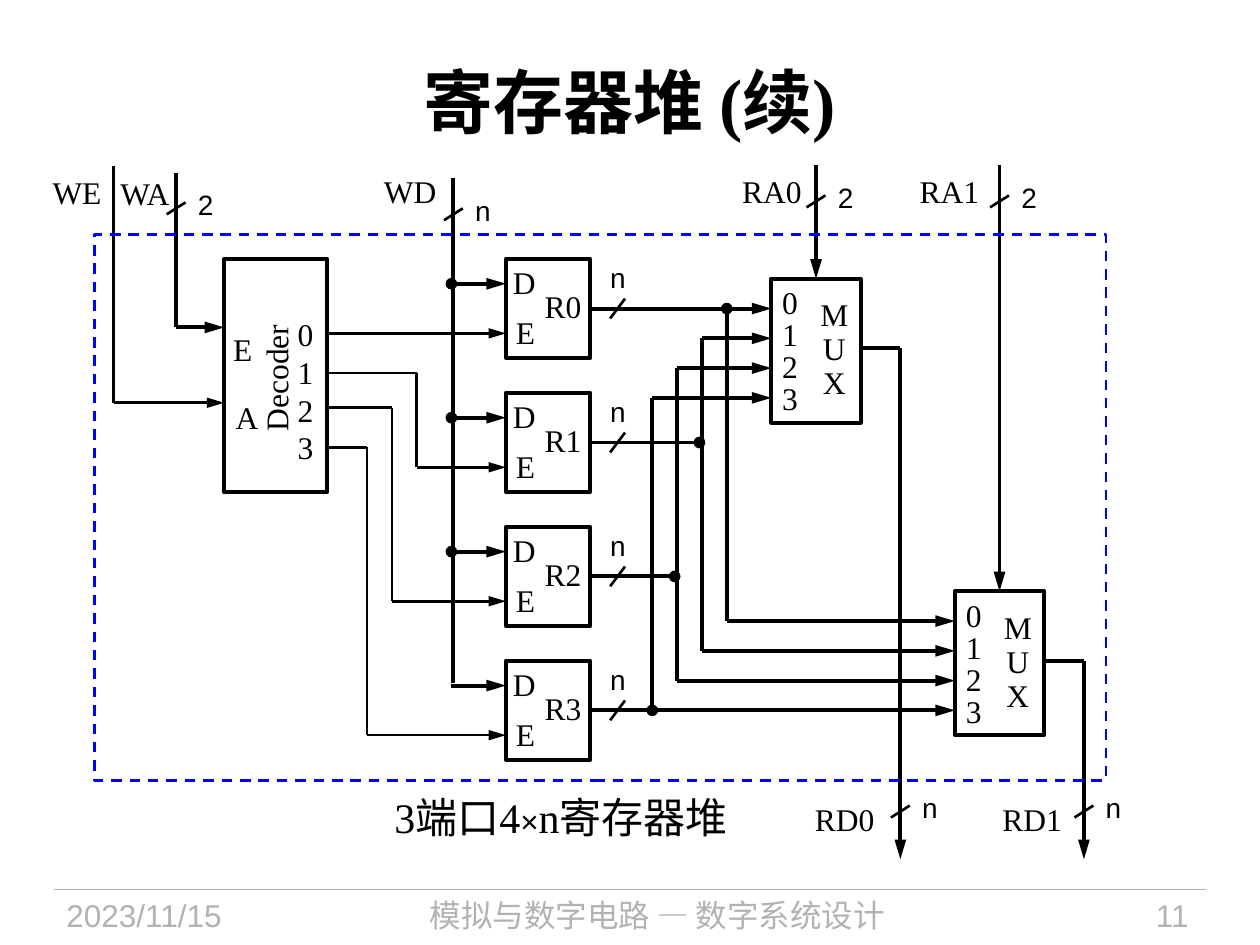
from itertools import pairwise

from lxml.etree import SubElement
from pptx import Presentation
from pptx.dml.color import RGBColor
from pptx.enum.dml import MSO_LINE
from pptx.enum.shapes import MSO_CONNECTOR, MSO_SHAPE
from pptx.enum.text import MSO_ANCHOR, PP_ALIGN
from pptx.oxml.ns import qn
from pptx.util import Cm, Pt

COLORS = {"ink": "000000", "frame": "0000FF", "footer": "B2B2B2"}
SERIF, SANS, CHINESE = "Times New Roman", "Arial", "Noto Sans CJK SC"
THICK, THIN = 2.25, 1.5
TIGHT = (0, 0, 0, 0)
NORMAL = (0.25, 0.13, 0.25, 0.13)

BLOCK_TOP = 5.22
REGISTER_LEFT, REGISTER_WIDTH, REGISTER_PITCH = 10.2, 1.7, 2.7
DECODER_LEFT, DECODER_WIDTH = 4.52, 2.08
MUX_WIDTH, MUX_HEIGHT, INPUT_PITCH = 1.8, 2.9, 0.6
MUXES = [(15.55, 5.62), (19.25, 11.92)]
DATA_X = 9.14


def color(name):
    """Return the named colour."""
    return RGBColor.from_string(COLORS[name])


def write(shape, lines, size=18, font=SERIF, ink="ink", align=PP_ALIGN.LEFT,
          anchor=MSO_ANCHOR.MIDDLE, insets=TIGHT, spacing=None, wrap=False):
    """Fill a shape with one paragraph per line."""
    frame = shape.text_frame
    frame.word_wrap = wrap
    frame.vertical_anchor = anchor
    frame.margin_left, frame.margin_top, frame.margin_right, frame.margin_bottom = map(Cm, insets)
    frame.text = "\n".join(lines)
    for para in frame.paragraphs:
        para.alignment = align
        para.line_spacing = spacing
        para.font.size = Pt(size)
        para.font.name = font
        para.font.color.rgb = color(ink)


def add_text(page, left, top, width, height, lines, **style):
    """Add a text box."""
    box = page.shapes.add_textbox(Cm(left), Cm(top), Cm(width), Cm(height))
    write(box, lines, **style)
    return box


def add_block(page, left, top, width, height, ink="ink", weight=THICK):
    """Add an unfilled outlined rectangle."""
    block = page.shapes.add_shape(MSO_SHAPE.RECTANGLE, Cm(left), Cm(top), Cm(width), Cm(height))
    block.shadow.inherit = False
    block.fill.background()
    block.line.color.rgb = color(ink)
    block.line.width = Pt(weight)
    return block


def add_end(line, side, kind):
    """Put an arrowhead or a dot on one end of a line."""
    length = "lg" if kind == "triangle" else "med"
    SubElement(line.line._get_or_add_ln(), qn(f"a:{side}"), type=kind, w="med", len=length)


def add_wire(page, *points, weight=THICK, head=None, tail=None, ink="ink"):
    """Join the points with straight lines, with optional end marks."""
    lines = []
    for start, end in pairwise(points):
        line = page.shapes.add_connector(MSO_CONNECTOR.STRAIGHT, *map(Cm, start + end))
        line.line.color.rgb = color(ink)
        line.line.width = Pt(weight)
        SubElement(line._element.spPr, qn("a:effectLst"))
        lines.append(line)
    if head:
        add_end(lines[0], "headEnd", head)
    if tail:
        add_end(lines[-1], "tailEnd", tail)


def add_bus_width(page, x, y, label):
    """Mark a vertical bus with a slash and its width."""
    add_wire(page, (x + 0.19, y - 0.12), (x - 0.19, y + 0.12), weight=THIN)
    add_text(page, x + 0.44, y - 0.34, 0.3, 0.61, [label], size=16, font=SANS,
             anchor=MSO_ANCHOR.TOP, spacing=0.9)


def add_decoder(page):
    """Add the write decoder with its two input wires."""
    decoder = add_block(page, DECODER_LEFT, BLOCK_TOP, DECODER_WIDTH, 4.7)
    write(decoder, ["Decoder"], align=PP_ALIGN.CENTER, insets=(0, 0.1, 0, 0))
    decoder.text_frame._txBody.bodyPr.set("vert", "vert270")
    add_text(page, 6, 6.35, 0.3, 3.05, list("0123"))
    add_text(page, 4.7, 6.76, 0.38, 0.66, ["E"], spacing=0.85)
    add_text(page, 4.5, 7.9, 0.96, 1.02, ["A"], insets=NORMAL)
    add_wire(page, (3.55, 3.48), (3.55, 6.6), (DECODER_LEFT, 6.6), tail="triangle")
    add_wire(page, (2.29, 3.35), (2.29, 8.12), (DECODER_LEFT, 8.12), weight=THIN, tail="triangle")


def add_register(page, number):
    """Add a register with its data, enable and output wires."""
    top = BLOCK_TOP + number * REGISTER_PITCH
    data_y, output_y, enable_y = top + 0.5, top + 1, top + 1.5
    register = add_block(page, REGISTER_LEFT, top, REGISTER_WIDTH, 2)
    write(register, [f"R{number}"], align=PP_ALIGN.RIGHT, insets=(0, 0, 0.18, 0), spacing=0.9)
    add_text(page, 10.34, data_y - 0.3, 0.46, 0.66, ["D"], spacing=0.85)
    add_text(page, 10.4, enable_y - 0.3, 0.38, 0.66, ["E"], spacing=0.85)
    add_wire(page, (9.1, data_y), (REGISTER_LEFT, data_y),
             head="oval" if number < 3 else None, tail="triangle")

    decoder_y = [6.72, 7.52, 8.22, 9.02][number]
    start = (DECODER_LEFT + DECODER_WIDTH, decoder_y)
    turn_x = 8.9 - 0.5 * number
    turns = [(turn_x, decoder_y), (turn_x, enable_y)] if number else []
    add_wire(page, start, *turns, (REGISTER_LEFT, enable_y), weight=THIN, tail="triangle")

    add_wire(page, (12.6, output_y - 0.2), (12.3, output_y + 0.2), weight=THIN)
    add_text(page, 12.3, output_y - 0.89, 0.3, 0.61, ["n"], size=16, font=SANS,
             anchor=MSO_ANCHOR.TOP, spacing=0.9)


def add_read_bus(page, number):
    """Carry one register output to the same input of both multiplexers."""
    output_y = BLOCK_TOP + 1 + number * REGISTER_PITCH
    bus_x = 14.65 - 0.5 * number
    inputs = [(left, top + 0.6 + INPUT_PITCH * number) for left, top in MUXES]
    direct = {0: inputs[0][0], 3: inputs[1][0]}.get(number)
    add_wire(page, (REGISTER_LEFT + REGISTER_WIDTH, output_y), (direct or bus_x - 0.05, output_y),
             tail="triangle" if direct else "oval")
    add_wire(page, (bus_x, inputs[0][1]), (bus_x, inputs[1][1]),
             head="oval" if number == 0 else None, tail="oval" if number == 3 else None)
    for left, y in inputs:
        if left != direct:
            add_wire(page, (bus_x, y), (left, y), tail="triangle")


def add_mux(page, number):
    """Add a multiplexer with its address and output wires."""
    left, top = MUXES[number]
    mux = add_block(page, left, top, MUX_WIDTH, MUX_HEIGHT)
    write(mux, list("MUX"), align=PP_ALIGN.CENTER, insets=(0.99, 0, 0.25, 0), spacing=0.9)
    add_text(page, left + 0.22, top + 0.2, 0.3, 2.6, list("0123"), spacing=0.85)
    address_x, output_x, output_y = left + 0.9, left + 2.6, top + 1.4
    add_wire(page, (address_x, 3.33), (address_x, top), tail="triangle")
    add_bus_width(page, address_x, 4.06, "2")
    add_wire(page, (left + MUX_WIDTH, output_y), (output_x, output_y), (output_x, 17.32),
             tail="triangle")
    add_bus_width(page, output_x, 16.36, "n")


def add_labels(page):
    """Add the port names and the caption."""
    ports = [("WE", 0.81, 3.35, 1.5), ("WA", 2.18, 3.38, 1.52), ("WD", 7.49, 3.33, 1.57),
             ("RA0", 14.71, 3.33, 1.73), ("RA1", 18.29, 3.33, 1.73),
             ("RD0", 16.18, 16, 1.73), ("RD1", 19.96, 16, 1.73)]
    for name, left, top, width in ports:
        add_text(page, left, top, width, 1.02, [name], insets=NORMAL)
    caption = add_text(page, 7.7, 15.82, 7.6, 1.3, ["3端口4"], size=24,
                       anchor=MSO_ANCHOR.TOP, insets=NORMAL, wrap=True)
    para = caption.text_frame.paragraphs[0]
    sign = para.add_run()
    sign.text = "×"
    sign.font.size = Pt(18)
    sign.font.name = SANS
    para.add_run().text = "n寄存器堆"


def add_footer(page):
    """Add the footer rule, date, course name and page number."""
    add_wire(page, (1.09, 17.93), (24.31, 17.93), weight=0.75, ink="footer")
    for text, left, width, font, align in [
        ("2023/11/15", 1.09, 4.78, SANS, PP_ALIGN.LEFT),
        ("模拟与数字电路 — 数字系统设计", 6.1, 14.3, CHINESE, PP_ALIGN.CENTER),
        ("11", 20.83, 3.38, SANS, PP_ALIGN.RIGHT),
    ]:
        add_text(page, left, 17.93, width, 1.12, [text], font=font, ink="footer", align=align,
                 anchor=MSO_ANCHOR.TOP, insets=NORMAL, wrap=True)


def main():
    """Build the register file slide."""
    deck = Presentation()
    deck.slide_width, deck.slide_height = Cm(25.4), Cm(19.05)
    page = deck.slides.add_slide(deck.slide_layouts[5])
    title = page.shapes.title
    title.left, title.top, title.width, title.height = Cm(1.27), Cm(0.43), Cm(22.86), Cm(3.18)
    write(title, ["寄存器堆 (续)"], size=40, align=PP_ALIGN.CENTER, insets=NORMAL, wrap=True)
    title.text_frame.paragraphs[0].font.bold = True

    add_footer(page)
    add_decoder(page)
    for number in range(4):
        add_register(page, number)
        add_read_bus(page, number)
    for number in range(len(MUXES)):
        add_mux(page, number)
    add_wire(page, (DATA_X, 3.58), (DATA_X, 13.77))
    add_bus_width(page, DATA_X, 4.32, "n")
    add_bus_width(page, 3.55, 4.2, "2")
    frame = add_block(page, 1.9, 4.73, 20.4, 11, ink="frame", weight=THIN)
    frame.line.dash_style = MSO_LINE.DASH
    add_labels(page)
    deck.save("out.pptx")


if __name__ == "__main__":
    main()
